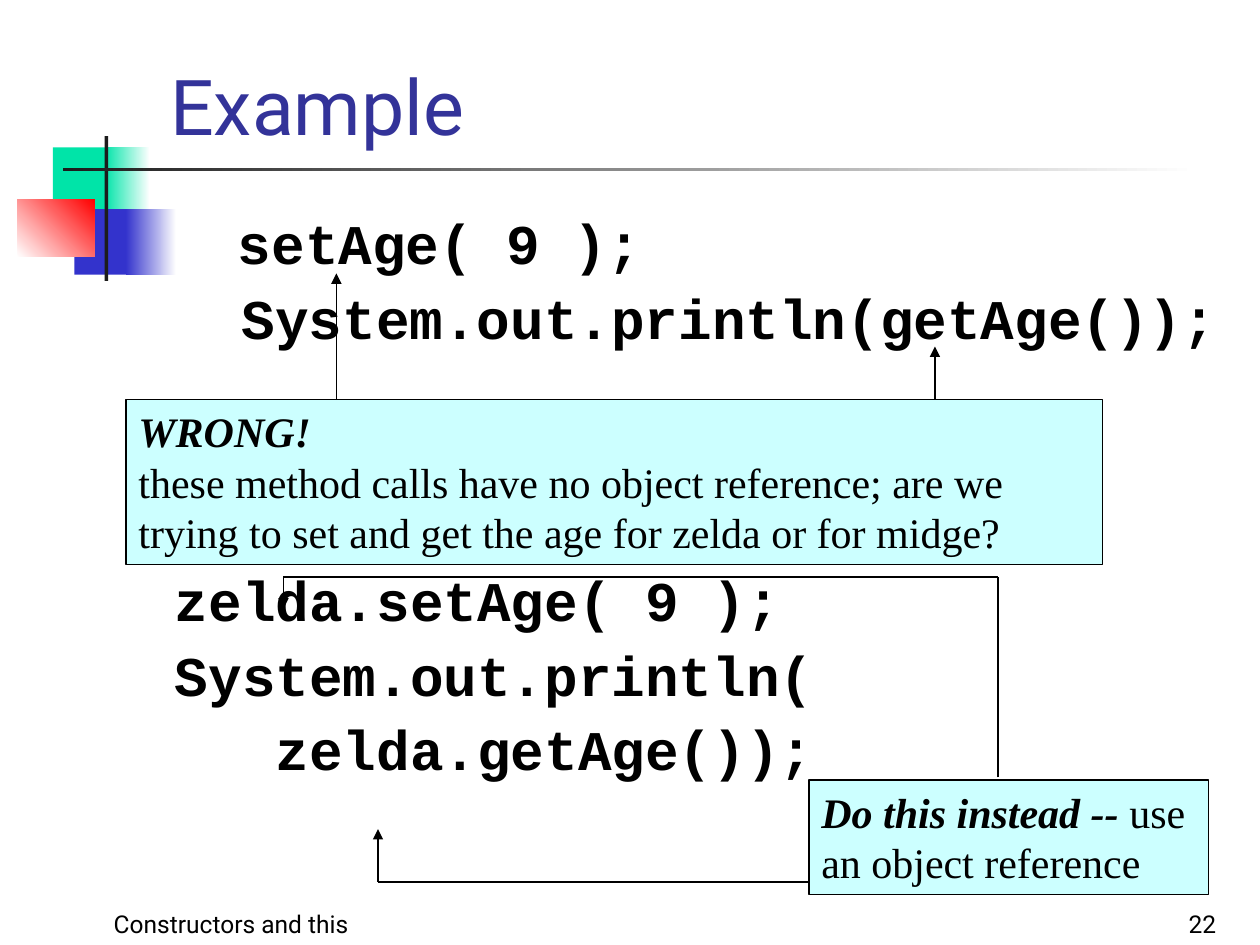
from lxml.etree import SubElement
from pptx import Presentation
from pptx.dml.color import RGBColor
from pptx.enum.shapes import MSO_CONNECTOR as Connector, MSO_SHAPE as Shape
from pptx.enum.text import MSO_ANCHOR as Anchor, MSO_AUTO_SIZE as AutoSize, PP_ALIGN as Align
from pptx.oxml.ns import qn
from pptx.util import Inches, Pt

BLACK = RGBColor(0x00, 0x00, 0x00)
WHITE = RGBColor(0xFF, 0xFF, 0xFF)
INK = RGBColor(0x1C, 0x1C, 0x1C)
GREEN = RGBColor(0x00, 0xE4, 0xA8)
BLUE = RGBColor(0x33, 0x33, 0xCC)
RED = RGBColor(0xFF, 0x00, 0x00)
NAVY = RGBColor(0x33, 0x33, 0x99)
PALE_CYAN = RGBColor(0xCC, 0xFF, 0xFF)

TITLE = {"name": "Roboto", "size": Pt(44)}
FOOTER = {"name": "Roboto", "size": Pt(14)}
CODE = {"name": "Courier New", "size": Pt(32), "bold": True}
NOTE = {"name": "Times New Roman", "size": Pt(24)}
STRONG = {**NOTE, "bold": True, "italic": True}


def set_values(target, values):
    """Set every attribute named in values on the target."""
    for name, value in values.items():
        setattr(target, name, value)


def place(box, at):
    """Move and size a shape in inches."""
    set_values(box, dict(zip(("left", "top", "width", "height"), map(Inches, at))))


def write(para, text, font, color=BLACK):
    """Append a formatted span to a paragraph."""
    span = para.add_run()
    span.text = text
    set_values(span.font, font)
    span.font.color.rgb = color


def add_bar(page, at, colors, angle=0):
    """Add a decorative rectangle with a solid or two-colour fill."""
    bar = page.shapes.add_shape(Shape.RECTANGLE, *map(Inches, at))
    bar.shadow.inherit = False
    bar.line.fill.background()
    if len(colors) == 1:
        bar.fill.solid()
        bar.fill.fore_color.rgb = colors[0]
        return
    bar.fill.gradient()
    bar.fill.gradient_angle = angle
    for stop, color in zip(bar.fill.gradient_stops, colors):
        stop.color.rgb = color


def add_text(page, at, paragraphs, frame=None, layout=None):
    """Add a wrapped text box whose paragraphs are lists of (text, font) spans."""
    box = page.shapes.add_textbox(*map(Inches, at))
    set_values(box.text_frame, {"word_wrap": True, **(frame or {})})
    for index, spans in enumerate(paragraphs):
        para = box.text_frame.add_paragraph() if index else box.text_frame.paragraphs[0]
        set_values(para, layout or {})
        for text, font in spans:
            write(para, text, font)
    return box


def add_code(page, top, lines):
    """Add code lines given as (text, indent in inches)."""
    box = add_text(page, (1.29, top, 8.5, 0.57 * len(lines)),
                   [[(text, CODE)] for text, _ in lines],
                   layout={"line_spacing": 0.9, "space_before": Pt(8)})
    for para, (_, indent) in zip(box.text_frame.paragraphs, lines):
        para._p.get_or_add_pPr().set("marL", str(Inches(indent)))


def add_note(page, at, paragraphs):
    """Add an outlined cyan note."""
    box = add_text(page, at, paragraphs, {"auto_size": AutoSize.SHAPE_TO_FIT_TEXT})
    box.fill.solid()
    box.fill.fore_color.rgb = PALE_CYAN
    box.line.color.rgb = BLACK
    box.line.width = Pt(0.75)


def add_arrow(page, *points):
    """Add straight segments through the points, with a head at the last one."""
    for start, end in zip(points, points[1:]):
        line = page.shapes.add_connector(Connector.STRAIGHT, *map(Inches, start + end))
        line.line.color.rgb = BLACK
        line.line.width = Pt(0.75)
        SubElement(line._element.spPr, qn("a:effectLst"))
    SubElement(line.line._get_or_add_ln(), qn("a:tailEnd"), type="triangle")


def add_title(page, text):
    """Fill and place the title placeholder."""
    title = page.shapes.title
    place(title, (1.25, 0, 8.52, 1.25))
    set_values(title.text_frame, {"vertical_anchor": Anchor.BOTTOM, "auto_size": AutoSize.NONE})
    para = title.text_frame.paragraphs[0]
    para.alignment = Align.LEFT
    write(para, text, TITLE, NAVY)


def add_decoration(page):
    """Add the coloured squares and the crossing rules."""
    add_bar(page, (0.42, 1.17, 0.48, 0.52), [GREEN])
    add_bar(page, (0.83, 1.17, 0.36, 0.52), [GREEN, WHITE])
    add_bar(page, (0.59, 1.66, 0.46, 0.52), [BLUE])
    add_bar(page, (1, 1.66, 0.4, 0.52), [BLUE, WHITE])
    add_bar(page, (0.14, 1.58, 0.61, 0.46), [WHITE, RED], 45)
    add_bar(page, (0.83, 1.08, 0.03, 1.15), [INK])
    add_bar(page, (0.5, 1.33, 9, 0.03), [INK, WHITE])


def main():
    """Build the slide and save the deck."""
    deck = Presentation()
    deck.slide_width, deck.slide_height = Inches(10), Inches(7.5)
    page = deck.slides.add_slide(deck.slide_layouts[5])
    add_decoration(page)
    for at, text, align in (((0.25, 7, 3.17, 0.5), "Constructors and this", Align.CENTER),
                            ((7.67, 7, 2.08, 0.5), "22", Align.RIGHT)):
        add_text(page, at, [[(text, FOOTER)]],
                 {"vertical_anchor": Anchor.BOTTOM}, {"alignment": align})
    add_title(page, "Example")
    add_code(page, 1.67, [("setAge( 9 );", 0.5), ("System.out.println(getAge());", 0.53)])
    add_code(page, 4.5, [("zelda.setAge( 9 );", 0), ("System.out.println(", 0),
                         ("zelda.getAge());", 0.8)])
    add_note(page, (1, 3.17, 7.75, 1.31), [
        [("WRONG!", STRONG)],
        [("these method calls have no object reference; are we trying to set "
          "and get the age for zelda or for midge?", NOTE)]])
    add_arrow(page, (2.67, 3.17), (2.67, 2.17))
    add_arrow(page, (7.42, 3.17), (7.42, 2.75))
    add_note(page, (6.42, 6.19, 3.17, 0.91),
             [[("Do this instead -- ", STRONG), ("use an object reference", NOTE)]])
    add_arrow(page, (7.92, 6.17), (7.92, 4.58), (2.25, 4.58), (2.25, 4.83))
    add_arrow(page, (6.42, 7), (3, 7), (3, 6.58))
    deck.save("out.pptx")


if __name__ == "__main__":
    main()
